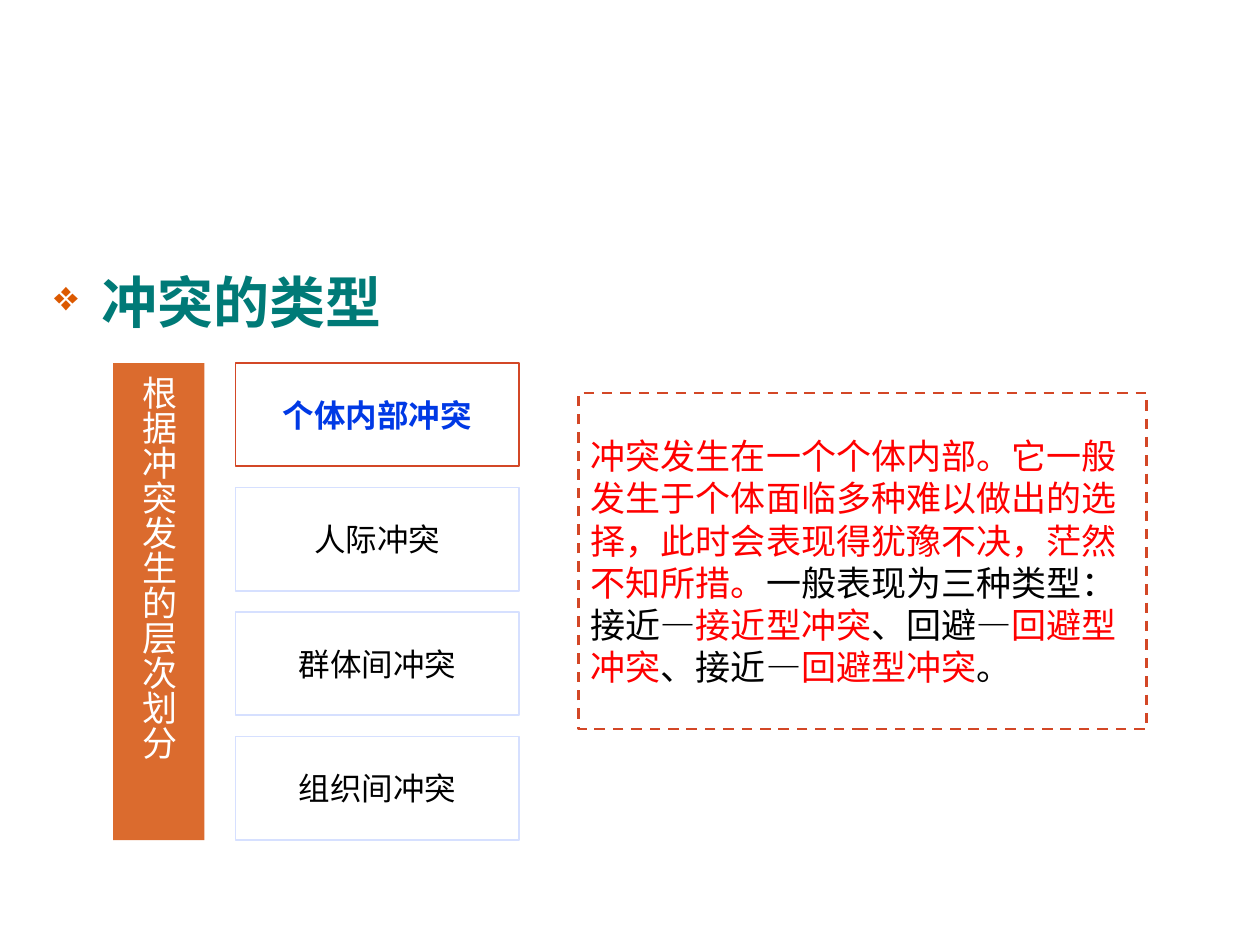
from lxml import etree
from pptx import Presentation
from pptx import util as u
from pptx.dml.color import RGBColor
from pptx.enum import dml, shapes, text
from pptx.oxml import ns

HUES = {
    "white": "FFFFFF", "black": "000000", "red": "FF0000", "blue": "0039E5",
    "teal": "007A77", "orange": "DC5900", "bar": "DB6B2E",
    "rust": "D34726", "pale": "D6E0FF",
}
FACE = "Noto Sans CJK SC"
TYPES = ["个体内部冲突", "人际冲突", "群体间冲突", "组织间冲突"]
DETAIL = [
    ("冲突发生在一个个体内部。它一般发生于个体面临多种难以做出的选择，此时会表现得犹豫不决，茫然不知所措。", "red"),
    ("一般表现为三种类型：接近—", "black"),
    ("接近型冲突", "red"),
    ("、回避—", "black"),
    ("回避型冲突", "red"),
    ("、接近—", "black"),
    ("回避型冲突", "red"),
    ("。", "black"),
]


def hue(name):
    return RGBColor.from_string(HUES[name])


def add_tag(node, name, **attrs):
    return etree.SubElement(node, ns.qn("a:" + name), attrs)


def add_run(para, words, size, color, bold=False, face=FACE):
    run = para.add_run()
    run.text = words
    run.font.size = u.Pt(size)
    run.font.bold = bold
    run.font.name = face
    run.font.color.rgb = hue(color)
    add_tag(run._r.get_or_add_rPr(), "ea", typeface=FACE)


def add_box(slide, area, fill, line=None, width=1, dash=False):
    box = slide.shapes.add_shape(
        shapes.MSO_SHAPE.RECTANGLE, *[u.Cm(n) for n in area])
    box.shadow.inherit = False
    box.fill.solid()
    box.fill.fore_color.rgb = hue(fill)
    if line:
        box.line.color.rgb = hue(line)
        box.line.width = u.Pt(width)
        if dash:
            box.line.dash_style = dml.MSO_LINE.DASH
    else:
        box.line.fill.background()
    frame = box.text_frame
    frame.word_wrap = True
    frame.vertical_anchor = text.MSO_ANCHOR.MIDDLE
    return frame


def add_title(slide, words):
    area = (0.84, 5.28, 23.72, 11.66)
    frame = slide.shapes.add_textbox(*[u.Cm(n) for n in area]).text_frame
    frame.word_wrap = True
    para = frame.paragraphs[0]
    para.line_spacing = u.Pt(38)
    para.space_before = u.Pt(3)
    props = para._p.get_or_add_pPr()
    props.set("marL", str(u.Cm(0.95)))
    props.set("indent", str(u.Cm(-0.95)))
    add_tag(add_tag(props, "buClr"), "srgbClr", val=HUES["orange"])
    add_tag(props, "buSzPct", val="75000")
    add_tag(props, "buChar", char="❖")
    add_run(para, words, 32, "teal", True, "Arial")


def add_bar(slide, words):
    frame = add_box(slide, (2.28, 7.32, 1.84, 9.62), "bar")
    frame._txBody.bodyPr.set("vert", "eaVert")
    para = frame.paragraphs[0]
    para.alignment = text.PP_ALIGN.LEFT
    add_run(para, words, 20, "white")


def add_types(slide):
    for row, words in enumerate(TYPES):
        first = row == 0
        area = (4.75, 7.32 + 2.51 * row, 5.72, 2.08)
        frame = add_box(slide, area, "white", "rust" if first else "pale")
        para = frame.paragraphs[0]
        para.alignment = text.PP_ALIGN.CENTER
        add_run(para, words, 18, "blue" if first else "black", first)


def add_detail(slide):
    frame = add_box(slide, (11.66, 7.92, 11.46, 6.78), "white", "rust", 1.5, True)
    para = frame.paragraphs[0]
    para.alignment = text.PP_ALIGN.LEFT
    para.line_spacing = u.Pt(24)
    for words, color in DETAIL:
        add_run(para, words, 20, color)


def main():
    deck = Presentation()
    deck.slide_width, deck.slide_height = u.Cm(25.4), u.Cm(19.05)
    slide = deck.slides.add_slide(deck.slide_layouts[6])
    add_title(slide, "冲突的类型")
    add_bar(slide, "根据冲突发生的层次划分")
    add_types(slide)
    add_detail(slide)
    deck.save("out.pptx")


if __name__ == "__main__":
    main()
